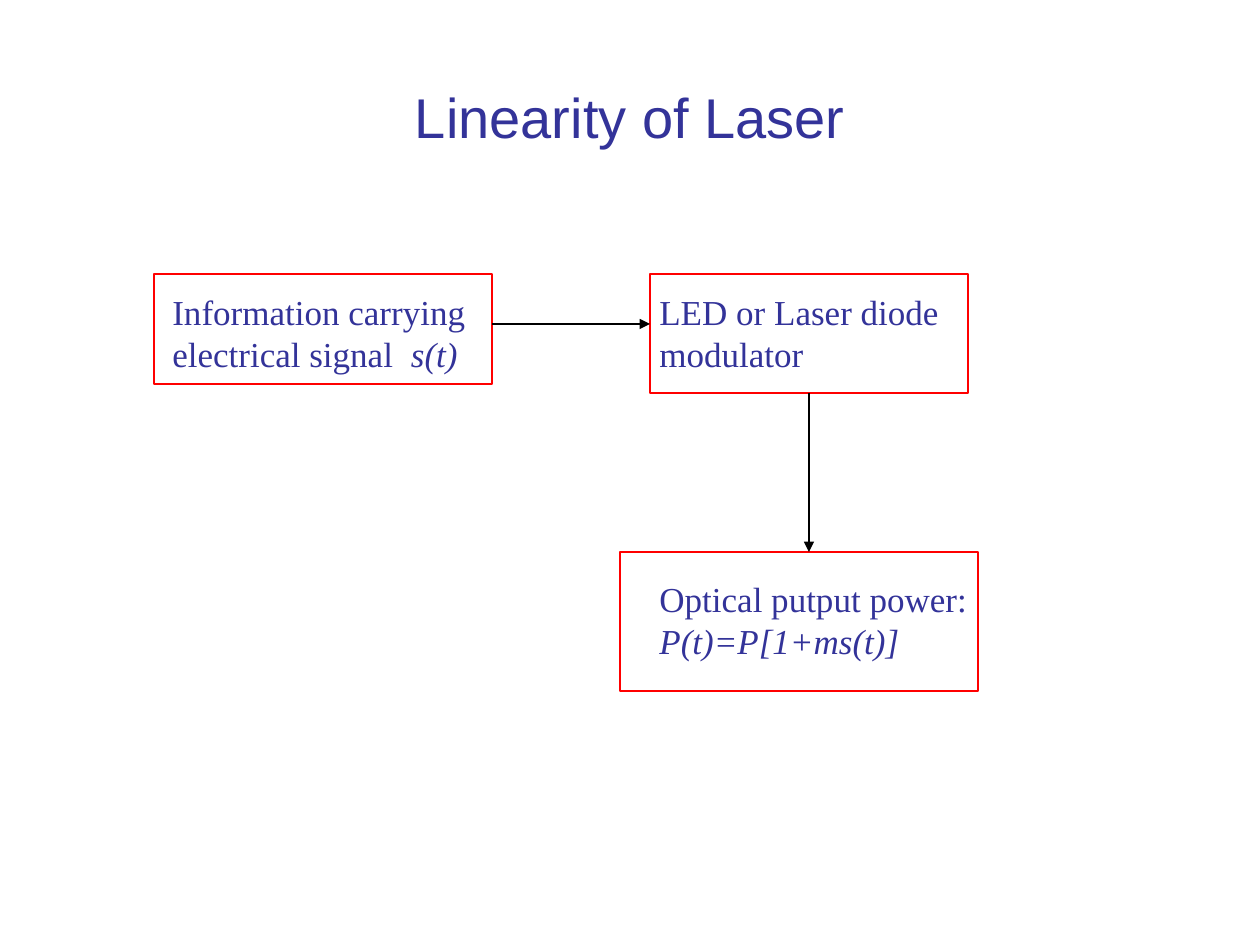
from lxml.etree import SubElement
from pptx import Presentation
from pptx.dml.color import RGBColor
from pptx.enum.shapes import MSO_CONNECTOR, MSO_SHAPE
from pptx.enum.text import MSO_ANCHOR, MSO_AUTO_SIZE, PP_ALIGN
from pptx.oxml.ns import qn
from pptx.util import Emu, Pt

PX_PER_INCH = 126
INDIGO = RGBColor(0x33, 0x33, 0x99)
RED = RGBColor(0xFF, 0x00, 0x00)
BLACK = RGBColor(0x00, 0x00, 0x00)
TITLE_FONT = {"name": "Arial", "size": Pt(32), "bold": False}
LABEL_FONT = {"name": "Times New Roman", "size": Pt(20)}
LABEL_FRAME = {"word_wrap": False, "auto_size": MSO_AUTO_SIZE.SHAPE_TO_FIT_TEXT}
TITLE_FRAME = {"word_wrap": True, "auto_size": MSO_AUTO_SIZE.NONE,
               "vertical_anchor": MSO_ANCHOR.MIDDLE}


def px(*lengths):
    """Turn pixel lengths into EMU."""
    return [Emu(round(length * 914400 / PX_PER_INCH)) for length in lengths]


def apply_format(target, values):
    """Set each format value on the target."""
    for name, value in values.items():
        setattr(target, name, value)


def add_span(para, text, font, italic=False):
    """Add one indigo run to a paragraph."""
    span = para.add_run()
    span.text = text
    apply_format(span.font, {**font, "italic": italic})
    span.font.color.rgb = INDIGO


def set_title(page, text):
    """Place and format the title placeholder."""
    title = page.shapes.title
    title.left, title.top, title.width, title.height = px(63, 38, 1134, 157)
    apply_format(title.text_frame, TITLE_FRAME)
    para = title.text_frame.paragraphs[0]
    para.alignment = PP_ALIGN.CENTER
    add_span(para, text, TITLE_FONT)


def add_label(page, area, lines):
    """Add a text box whose lines are lists of (text, italic) spans."""
    frame = page.shapes.add_textbox(*px(*area)).text_frame
    apply_format(frame, LABEL_FRAME)
    for index, spans in enumerate(lines):
        para = frame.add_paragraph() if index else frame.paragraphs[0]
        for text, italic in spans:
            add_span(para, text, LABEL_FONT, italic)


def add_block(page, area):
    """Add an unfilled red block outline."""
    block = page.shapes.add_shape(MSO_SHAPE.RECTANGLE, *px(*area))
    block.shadow.inherit = False
    block.fill.background()
    block.line.color.rgb = RED
    block.line.width = Pt(0.75)
    return block


def add_arrow(page, *ends):
    """Add a straight black arrow between two points."""
    arrow = page.shapes.add_connector(MSO_CONNECTOR.STRAIGHT, *px(*ends))
    arrow.line.color.rgb = BLACK
    arrow.line.width = Pt(0.75)
    SubElement(arrow.line._get_or_add_ln(), qn("a:tailEnd"), type="triangle")
    SubElement(arrow._element.spPr, qn("a:effectLst"))


def main():
    """Build the laser linearity slide."""
    deck = Presentation()
    deck.slide_width, deck.slide_height = px(1260, 945)
    page = deck.slides.add_slide(deck.slide_layouts[5])
    set_title(page, "Linearity of Laser")

    blocks = [
        ((154, 274, 338, 110), (160, 284, 326, 97),
         [[("Information carrying", False)],
          [("electrical signal  ", False), ("s(t)", True)]]),
        ((650, 274, 318, 119), (647, 284, 305, 97),
         [[("LED or Laser diode", False)], [("modulator", False)]]),
        ((620, 552, 358, 139), (647, 571, 333, 97),
         [[("Optical putput power:", False)], [("P(t)=P[1+ms(t)]", True)]]),
    ]
    for outline, label, lines in blocks:
        add_label(page, label, lines)
        add_block(page, outline)

    add_arrow(page, 492, 324, 650, 324)
    add_arrow(page, 809, 393, 809, 552)
    deck.save("out.pptx")


if __name__ == "__main__":
    main()
